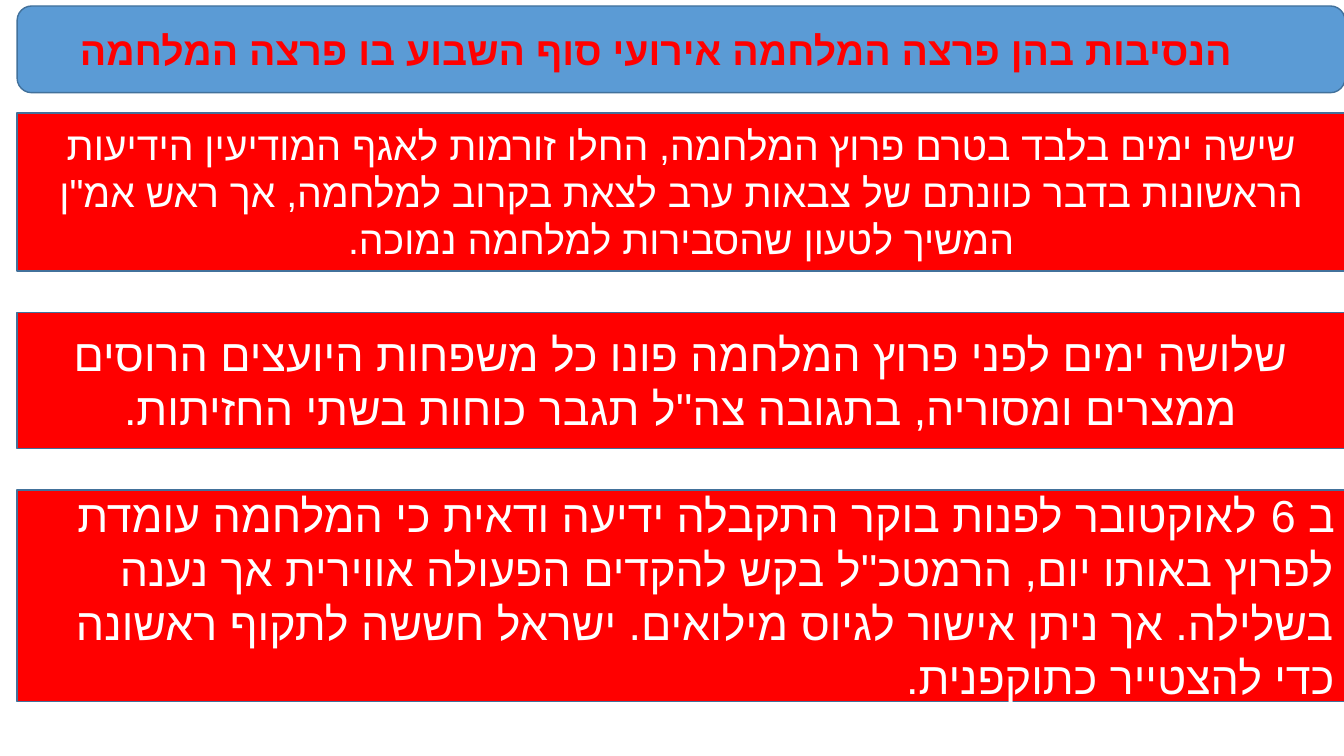
from lxml import etree
from pptx import Presentation
from pptx.dml.color import RGBColor
from pptx.enum.shapes import MSO_SHAPE
from pptx.enum.text import MSO_ANCHOR, PP_ALIGN
from pptx.oxml.ns import qn
from pptx.util import Inches, Pt

RECT = MSO_SHAPE.RECTANGLE
ROUNDED = MSO_SHAPE.FLOWCHART_ALTERNATE_PROCESS
CENTER, RIGHT = PP_ALIGN.CENTER, PP_ALIGN.RIGHT
MIDDLE = MSO_ANCHOR.MIDDLE
LEFT, WIDTH = 0.17, 13.17
RED, BLUE, WHITE, OUTLINE = "FF0000", "5B9BD5", "FFFFFF", "42719B"

TITLE = "הנסיבות בהן פרצה המלחמה אירועי סוף השבוע בו פרצה המלחמה"
EVENTS = [
    (1.12, 1.57, 28, CENTER,
     'שישה ימים בלבד בטרם פרוץ המלחמה, החלו זורמות לאגף המודיעין הידיעות '
     'הראשונות בדבר כוונתם של צבאות ערב לצאת בקרוב למלחמה, אך ראש אמ"ן '
     'המשיך לטעון שהסבירות למלחמה נמוכה.'),
    (3.1, 1.35, 32, CENTER,
     "שלושה ימים לפני פרוץ המלחמה פונו כל משפחות היועצים הרוסים "
     "ממצרים ומסוריה, בתגובה צה''ל תגבר כוחות בשתי החזיתות."),
    (4.86, 2.1, 32, RIGHT,
     "ב 6 לאוקטובר לפנות בוקר התקבלה ידיעה ודאית כי המלחמה עומדת "
     "לפרוץ באותו יום, הרמטכ''ל בקש להקדים הפעולה אווירית אך נענה "
     "בשלילה. אך ניתן אישור לגיוס מילואים. ישראל חששה לתקוף ראשונה "
     "כדי להצטייר כתוקפנית."),
]


def rgb(value):
    return RGBColor.from_string(value)


def add_panel(s, kind, top, height, fill, text, align, font, color):
    sp = s.shapes.add_shape(kind, Inches(LEFT), Inches(top), Inches(WIDTH), Inches(height))
    sp.shadow.inherit = False
    sp.fill.solid()
    sp.fill.fore_color.rgb = rgb(fill)
    sp.line.color.rgb = rgb(OUTLINE)
    sp.line.width = Pt(1)
    tf = sp.text_frame
    tf.word_wrap = True
    tf.vertical_anchor = MIDDLE
    p = tf.paragraphs[0]
    p.alignment = align
    p._p.get_or_add_pPr().set("rtl", "1")
    r = p.add_run()
    r.text = text
    for name, value in font.items():
        setattr(r.font, name, value)
    r.font.color.rgb = rgb(color)
    etree.SubElement(r._r.get_or_add_rPr(), qn("a:cs")).set("typeface", "Arial")
    return p


def add_title(s):
    font = {"name": "Arial", "size": Pt(28), "bold": True}
    p = add_panel(s, ROUNDED, 0.06, 0.86, BLUE, TITLE, CENTER, font, RED)
    p.level = 1
    pPr = p._p.get_or_add_pPr()
    pPr.set("marL", str(Inches(0.5)))
    pPr.set("indent", "0")


def add_events(s):
    for top, height, size, align, text in EVENTS:
        font = {"name": "Calibri", "size": Pt(size)}
        add_panel(s, RECT, top, height, RED, text, align, font, WHITE)


def main():
    prs = Presentation()
    prs.slide_width, prs.slide_height = Inches(13.33), Inches(7.5)
    s = prs.slides.add_slide(prs.slide_layouts[6])
    add_title(s)
    add_events(s)
    prs.save("out.pptx")


if __name__ == "__main__":
    main()
